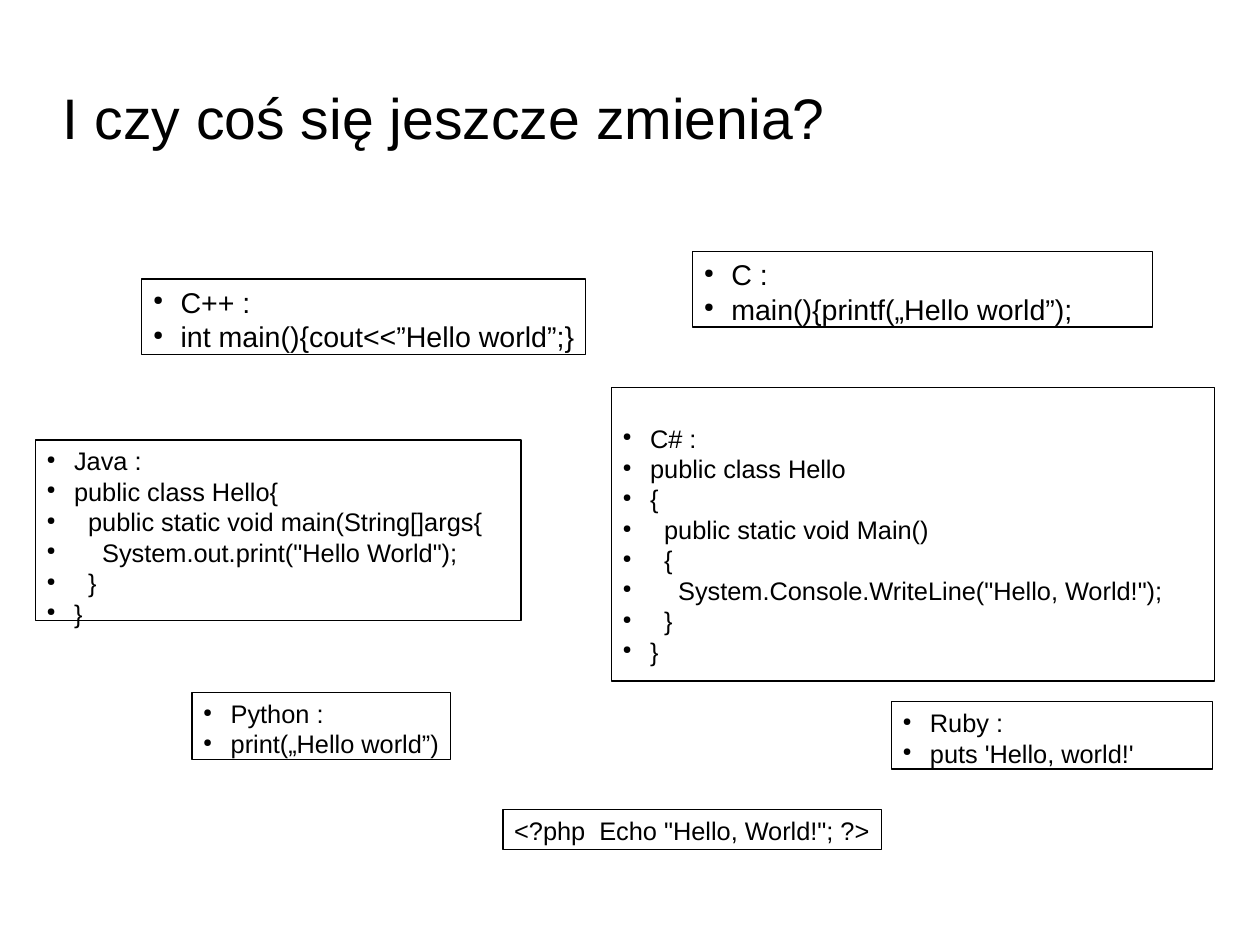
from lxml import etree
from pptx import Presentation
from pptx import util as u
from pptx.dml.color import RGBColor
from pptx.enum import shapes, text
from pptx.oxml.ns import qn

WIDTH, HEIGHT = u.Cm(28), u.Cm(21)
INK = "000000"
INDENT = u.Inches(0.24)
PAD_X, PAD_Y, ROW = u.Inches(0.1), u.Inches(0.05), u.Inches(0.26)

SAMPLES = [
    dict(box=(11.26, 29.53, 35.2, 7.98), size=18, wrap=False,
         lines=["C++ :", "int main(){cout<<”Hello world”;}"]),
    dict(box=(15.24, 73.28, 20.5, 7.13), wrap=False,
         lines=["Python :", "print(„Hello world”)"]),
    dict(box=(70.74, 74.25, 25.5, 7.13),
         lines=["Ruby :", "puts 'Hello, world!'"]),
    dict(box=(54.97, 26.63, 36.47, 7.98), size=18,
         lines=["C :", "main(){printf(„Hello world”);"]),
    dict(box=(2.81, 46.55, 38.55, 19.11),
         lines=["Java :",
                "public class Hello{",
                "  public static void main(String[]args{",
                '    System.out.print("Hello World");',
                "  }",
                "}"]),
    dict(box=(48.53, 40.98, 47.9, 31.08), top=PAD_Y + ROW,
         lines=["C# :",
                "public class Hello",
                "{",
                "  public static void Main()",
                "  {",
                '    System.Console.WriteLine("Hello, World!");',
                "  }",
                "}"]),
    dict(box=(39.92, 85.68, 30.03, 4.23), wrap=False, bullets=False,
         lines=['<?php  Echo "Hello, World!"; ?>']),
]


def color(value):
    """Turn a hex string into a colour."""
    return RGBColor.from_string(value)


def place(box):
    """Turn percentages of the slide into left, top, width and height."""
    return [round(side * share / 100) for side, share in zip((WIDTH, HEIGHT) * 2, box)]


def add_bullet(p):
    """Give a paragraph a small round bullet with a hanging indent."""
    pPr = p._p.get_or_add_pPr()
    pPr.set("marL", str(INDENT))
    pPr.set("indent", str(-INDENT))
    tint = etree.SubElement(pPr, qn("a:buClr"))
    etree.SubElement(tint, qn("a:srgbClr"), val=INK)
    etree.SubElement(pPr, qn("a:buSzPct"), val="45000")
    etree.SubElement(pPr, qn("a:buChar"), char="●")


def write(s, lines, size=16, bullets=False, wrap=True, anchor="TOP",
          left=PAD_X, top=PAD_Y):
    """Fill a shape with one paragraph per line."""
    tf = s.text_frame
    tf.word_wrap = wrap
    tf.auto_size = text.MSO_AUTO_SIZE.NONE
    tf.vertical_anchor = text.MSO_ANCHOR[anchor]
    tf.margin_left = tf.margin_right = left
    tf.margin_top, tf.margin_bottom = top, min(top, PAD_Y)
    for i, line in enumerate(lines):
        p = tf.paragraphs[0] if i == 0 else tf.add_paragraph()
        p.alignment = text.PP_ALIGN.LEFT
        if bullets:
            add_bullet(p)
        r = p.add_run()
        r.text = line
        r.font.name = "Arial"
        r.font.size = u.Pt(size)
        r.font.color.rgb = color(INK)


def add_title(sp, box, title):
    """Add the slide title in its box."""
    s = sp.add_textbox(*place(box))
    write(s, [title], size=36, anchor="MIDDLE", left=0, top=0)


def add_sample(sp, box, lines, bullets=True, **style):
    """Add a framed code sample in its box."""
    s = sp.add_shape(shapes.MSO_SHAPE.RECTANGLE, *place(box))
    s.shadow.inherit = False
    s.fill.background()
    s.line.color.rgb = color(INK)
    s.line.width = u.Pt(0)
    write(s, lines, bullets=bullets, **style)


def main():
    """Build the slide and save it."""
    prs = Presentation()
    prs.slide_width, prs.slide_height = WIDTH, HEIGHT
    sp = prs.slides.add_slide(prs.slide_layouts[6]).shapes
    add_title(sp, (4.99, 7.57, 71.39, 9.55), "I czy coś się jeszcze zmienia?")
    for sample in SAMPLES:
        add_sample(sp, **sample)
    prs.save("out.pptx")


if __name__ == "__main__":
    main()
